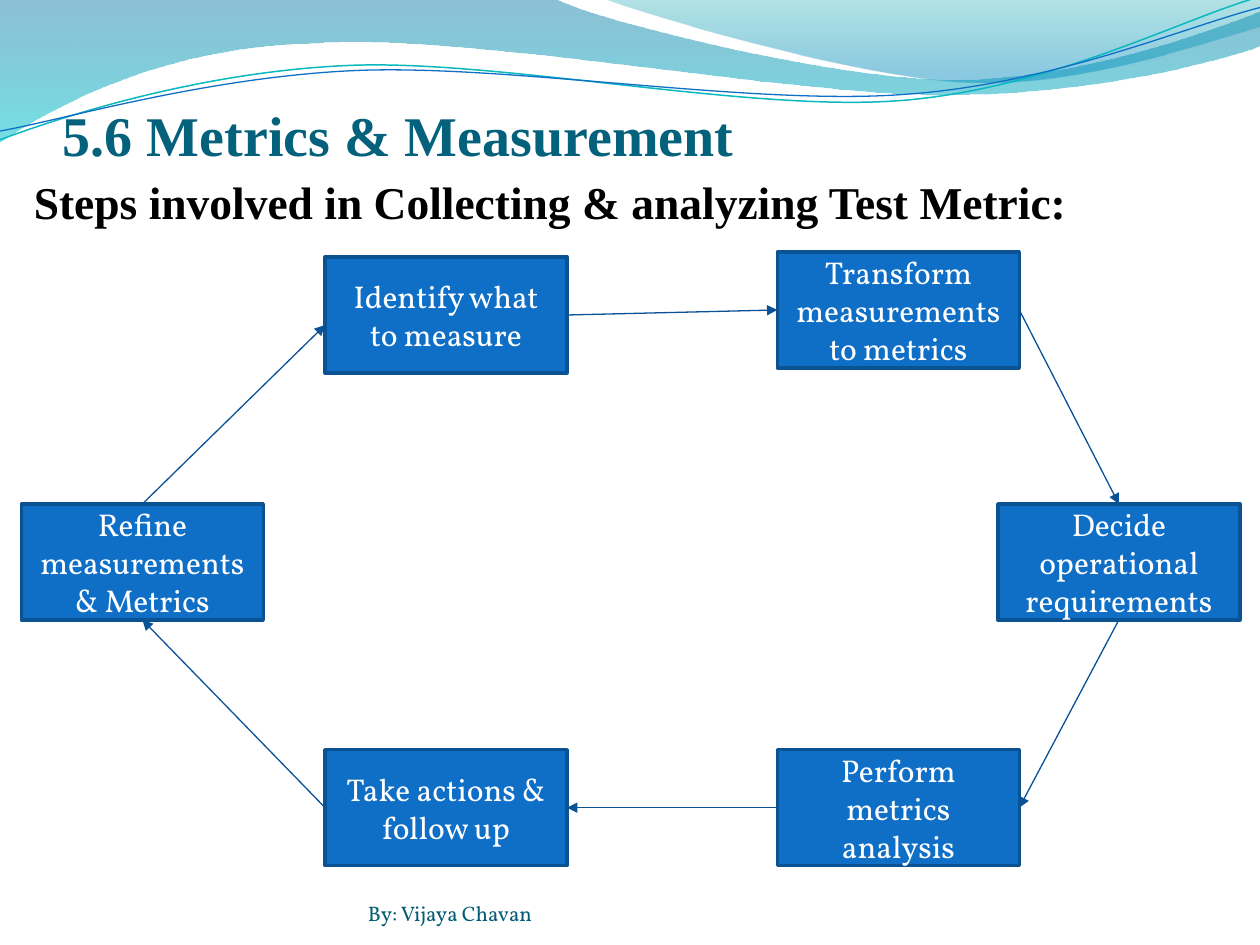
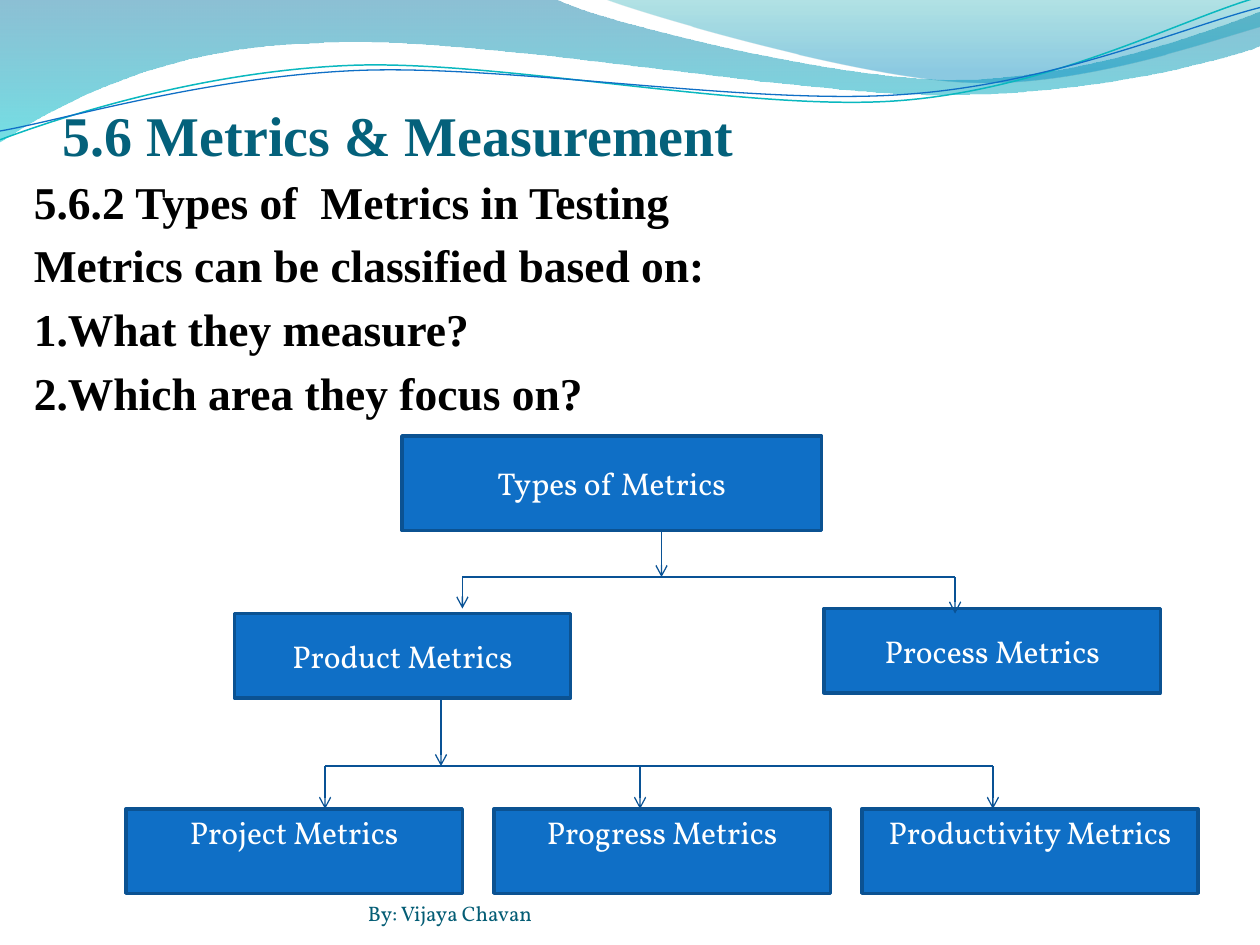
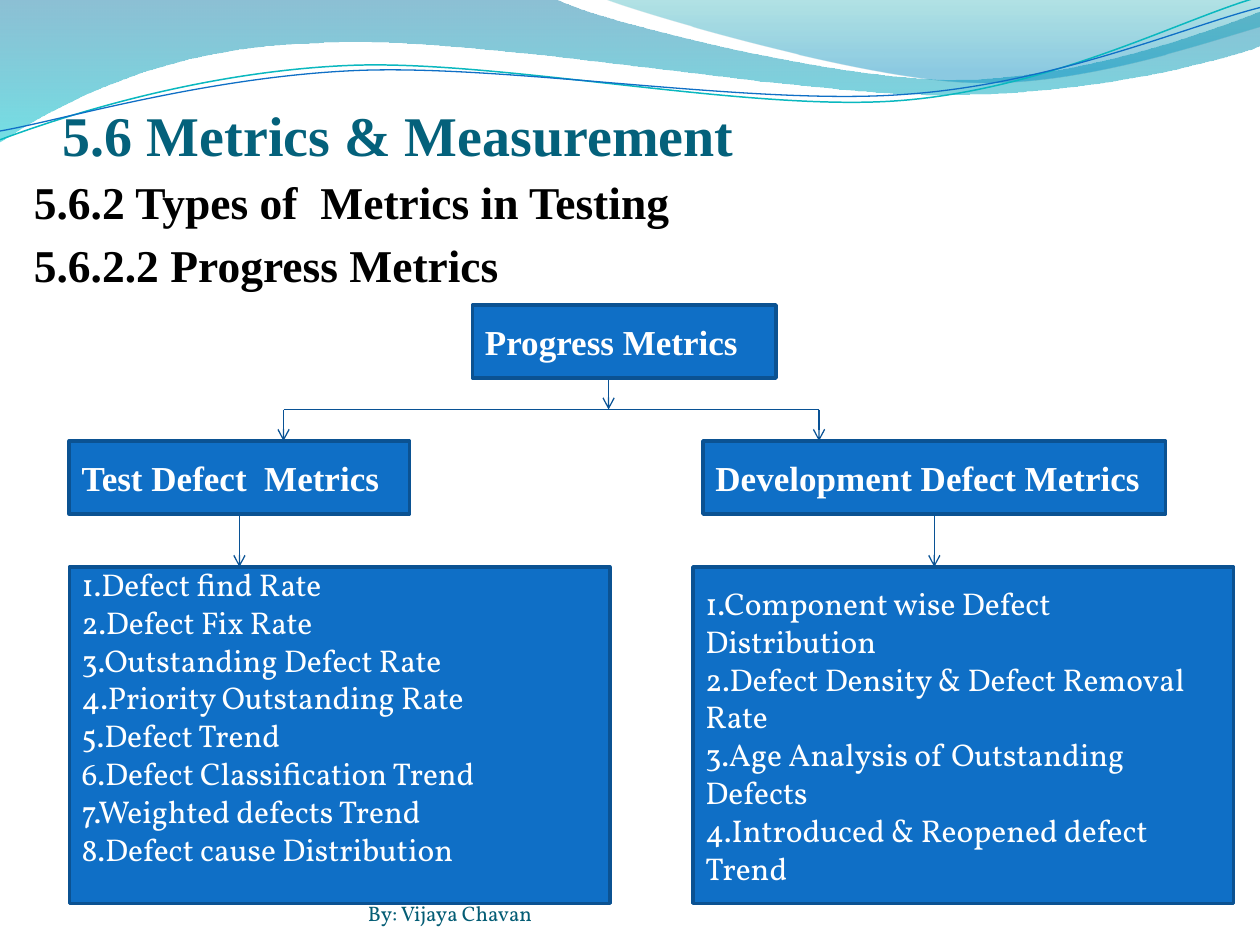
"""Build three slides on collecting, analysing and classifying test metrics."""
from dataclasses import dataclass

from lxml import etree
from pptx import Presentation
from pptx import util as u
from pptx.dml.color import RGBColor
from pptx.enum import shapes, text
from pptx.oxml.ns import qn


@dataclass(frozen=True)
class Theme:
    title: str = "04617B"
    body: str = "000000"
    footer: str = "045D75"
    box: str = "0F6FC6"
    box_edge: str = "0B5292"
    box_text: str = "FFFFFF"
    link: str = "095295"
    teal_wave: str = "0AB8BF"
    serif: str = "Times New Roman"
    plain: str = "Vollkorn"
    title_size: float = 32
    body_size: float = 26
    head_size: float = 20
    box_size: float = 18
    footer_size: float = 12
    body_gap: float = 5.2


THEME = Theme()
TITLE = "5.6 Metrics & Measurement"
FOOTER = "By: Vijaya Chavan"
SECTION = "5.6.2 Types of  Metrics in Testing"

BANDS = [
    (
        [(0, 0), (4.4, -0.01),
         [(4.76, 0.17), (6.64, 0.63), (7.58, 0.63)],
         [(8.53, 0.63), (9.58, 0.26), (10, 0.09)],
         (10.01, 0.36),
         [(9.83, 0.44), (8.7, 0.76), (7.46, 0.75)],
         [(6.22, 0.75), (3.82, 0.28), (2.57, 0.34)],
         [(1.29, 0.36), (0.46, 0.83), (-0.01, 1.13)]],
        [(0, "0074A1", 45), (1, "00C6CF", 55)],
    ),
    (
        [(4.79, -0.01),
         [(5.09, 0.11), (6.82, 0.62), (7.69, 0.65)],
         [(8.56, 0.69), (9.61, 0.32), (10, 0.21)],
         (10, 0)],
        [(0, "00A1A9", 30), (0.8, "008BBF", 45)],
    ),
]
WAVES = [
    (
        [(0, 1.11),
         [(0.48, 0.93), (1.58, 0.57), (2.77, 0.52)],
         [(3.95, 0.47), (5.93, 0.89), (7.13, 0.8)],
         [(8.33, 0.71), (9.38, 0.15), (9.98, -0.02)]],
        THEME.teal_wave, 0.85,
    ),
    (
        [(0, 1.04),
         [(0.47, 0.96), (1.64, 0.61), (2.83, 0.56)],
         [(4.03, 0.51), (5.97, 0.84), (7.17, 0.75)],
         [(8.36, 0.67), (9.41, 0.21), (10, 0.06)]],
        THEME.box, 0.75,
    ),
]

STEP_SIZE = (1.92, 0.92)
STEPS = [
    ("Identify what to measure", 2.58, 2.04),
    ("Transform measurements to metrics", 6.17, 2),
    ("Decide operational requirements", 7.92, 4),
    ("Perform metrics analysis", 6.17, 5.95),
    ("Take actions & follow up", 2.58, 5.95),
    ("Refine measurements & Metrics", 0.17, 4),
]
TOP, LEFT, BOTTOM, RIGHT = range(4)
STEP_SIDES = [(RIGHT, LEFT), (RIGHT, TOP), (BOTTOM, RIGHT), (LEFT, RIGHT), (LEFT, BOTTOM)]
RETURN_END = (2.58, 2.58)

TYPE_SIZE = (2.67, 0.67)
TYPE_GROUPS = [("Product Metrics", 1.86, 4.87), ("Process Metrics", 6.54, 4.83)]
PRODUCT_TYPES = ["Project Metrics", "Progress Metrics", "Productivity Metrics"]

TEST_DEFECTS = [
    "1.Defect find Rate",
    "2.Defect Fix Rate",
    "3.Outstanding Defect Rate",
    "4.Priority Outstanding Rate",
    "5.Defect Trend",
    "6.Defect Classification Trend",
    "7.Weighted defects Trend",
    "8.Defect cause Distribution",
]
DEVELOPMENT_DEFECTS = [
    "1.Component wise Defect  Distribution",
    "2.Defect Density & Defect Removal Rate",
    "3.Age Analysis of Outstanding Defects",
    "4.Introduced & Reopened defect Trend",
]
BASE_INSET = 0.05
RAISED_INSET = 0.35
DEFECT_GROUPS = [
    ("Test Defect  Metrics", 0.55, 2.7, TEST_DEFECTS, 0.55, RAISED_INSET),
    ("Development Defect Metrics", 5.58, 3.67, DEVELOPMENT_DEFECTS, 5.5, BASE_INSET),
]


def inches(*values):
    return [u.Inches(value) for value in values]


def colour(value):
    return RGBColor.from_string(value)


def write(frame, lines, font, size, ink, bold=False, align=text.PP_ALIGN.LEFT, gap=0):
    frame.word_wrap = True
    for index, line in enumerate(lines):
        para = frame.paragraphs[0] if index == 0 else frame.add_paragraph()
        para.alignment = align
        para.space_after = u.Pt(gap)
        span = para.add_run()
        span.text = line
        span.font.name = font
        span.font.size = u.Pt(size)
        span.font.bold = bold
        span.font.color.rgb = colour(ink)


def add_text(page, place, lines, *style, insets=(0, 0), anchor=text.MSO_ANCHOR.BOTTOM, **options):
    frame = page.shapes.add_textbox(*inches(*place)).text_frame
    frame.margin_left = frame.margin_right = u.Inches(insets[0])
    frame.margin_top = u.Inches(insets[1])
    frame.margin_bottom = 0
    frame.vertical_anchor = anchor
    write(frame, lines, *style, **options)


def add_box(page, place, lines, font=THEME.plain, size=THEME.box_size, bold=False,
            align=text.PP_ALIGN.CENTER, bottom_inset=BASE_INSET):
    box = page.shapes.add_shape(shapes.MSO_SHAPE.RECTANGLE, *inches(*place))
    box.shadow.inherit = False
    box.fill.solid()
    box.fill.fore_color.rgb = colour(THEME.box)
    box.line.color.rgb = colour(THEME.box_edge)
    box.line.width = u.Pt(2)
    frame = box.text_frame
    frame.vertical_anchor = text.MSO_ANCHOR.MIDDLE
    frame.margin_bottom = u.Inches(bottom_inset)
    write(frame, lines, font, size, THEME.box_text, bold, align)
    return box


def add_link(page, start, end, head=None):
    link = page.shapes.add_connector(shapes.MSO_CONNECTOR.STRAIGHT, *inches(*start, *end))
    link.line.color.rgb = colour(THEME.link)
    link.line.width = u.Pt(0.75)
    properties = link.element.spPr
    if head:
        etree.SubElement(properties.find(qn("a:ln")), qn("a:tailEnd"), type=head)
    etree.SubElement(properties, qn("a:effectLst"))
    return link


def add_branches(page, stem, bar_y, drops):
    columns = [x for x, _ in drops]
    add_link(page, (min(columns), bar_y), (max(columns), bar_y))
    add_link(page, stem, (stem[0], bar_y), "arrow")
    for x, y in drops:
        add_link(page, (x, bar_y), (x, y), "arrow")


def add_curve(page, outline, close):
    points = []
    for part in outline:
        points.extend(part if isinstance(part, list) else [part])
    corners = [inches(*point) for point in points]
    builder = page.shapes.build_freeform(*corners[0])
    builder.add_line_segments(corners[1:], close=close)
    curve = builder.convert_to_shape()
    curve.shadow.inherit = False
    segments = iter(list(curve.element.iter(qn("a:lnTo"))))
    for part in outline[1:]:
        first = next(segments)
        if isinstance(part, list):
            bend = etree.Element(qn("a:cubicBezTo"))
            first.addprevious(bend)
            for segment in (first, next(segments), next(segments)):
                bend.append(segment[0])
                segment.getparent().remove(segment)
    return curve


def add_header_waves(page):
    curves = []
    for outline, stops in BANDS:
        band = add_curve(page, outline, True)
        band.line.fill.background()
        band.fill.gradient()
        band.fill.gradient_angle = 270
        for stop, (position, ink, _) in zip(band.fill.gradient_stops, stops):
            stop.position = position
            stop.color.rgb = colour(ink)
        inks = band.element.spPr.iter(qn("a:srgbClr"))
        for ink, (_, _, opacity) in zip(inks, stops):
            etree.SubElement(ink, qn("a:alpha"), val=str(opacity * 1000))
        curves.append(band)
    for outline, ink, width in WAVES:
        wave = add_curve(page, outline, False)
        wave.fill.background()
        wave.line.color.rgb = colour(ink)
        wave.line.width = u.Pt(width)
        curves.append(wave)
    return curves


def share_header(page):
    layout = page.slide_layout
    for holder in list(layout.placeholders):
        holder.element.getparent().remove(holder.element)
    for curve in add_header_waves(page):
        layout.element.cSld.spTree.append(curve.element)


def add_page(deck, lines):
    page = deck.slides.add_slide(deck.slide_layouts[6])
    if len(deck.slides) == 1:
        share_header(page)
    add_text(page, (0.5, 0.83, 9, 0.5), [TITLE],
             THEME.serif, THEME.title_size, THEME.title, bold=True)
    add_text(page, (0.17, 1.33, 9.33, 5.58), lines,
             THEME.serif, THEME.body_size, THEME.body, bold=True, gap=THEME.body_gap,
             insets=(0.1, 0.05), anchor=text.MSO_ANCHOR.TOP)
    add_text(page, (2.92, 6.95, 3.67, 0.4), [FOOTER],
             THEME.plain, THEME.footer_size, THEME.footer)
    return page


def build_cycle(deck):
    page = add_page(deck, ["Steps involved in Collecting & analyzing Test Metric:"])
    boxes = [add_box(page, (left, top, *STEP_SIZE), [label]) for label, left, top in STEPS]
    for first, second, (leave, arrive) in zip(boxes, boxes[1:], STEP_SIDES):
        link = add_link(page, (0, 0), (1, 1), "triangle")
        link.begin_connect(first, leave)
        link.end_connect(second, arrive)
    add_link(page, (1.13, 4), RETURN_END, "triangle").begin_connect(boxes[-1], TOP)


def build_types(deck):
    page = add_page(deck, [
        SECTION,
        "Metrics can be classified based on:",
        "1.What they measure?",
        "2.Which area they focus on?",
    ])
    add_box(page, (3.19, 3.46, 3.33, 0.75), ["Types of Metrics"])
    for label, left, top in TYPE_GROUPS:
        add_box(page, (left, top, *TYPE_SIZE), [label])
    for index, label in enumerate(PRODUCT_TYPES):
        add_box(page, (1 + index * 2.92, 6.42, *TYPE_SIZE), [label], bottom_inset=RAISED_INSET)
    add_branches(page, (5.25, 4.21), 4.58, [(3.67, 4.83), (7.58, 4.87)])
    add_branches(page, (3.5, 5.54), 6.08, [(x, 6.42) for x in (2.58, 5.08, 7.88)])


def build_progress(deck):
    page = add_page(deck, [SECTION, "5.6.2.2 Progress Metrics"])
    heading = dict(font=THEME.serif, size=THEME.head_size, bold=True, align=text.PP_ALIGN.LEFT)
    add_box(page, (3.75, 2.42, 2.41, 0.58), ["Progress Metrics"], **heading)
    for label, left, width, items, list_left, bottom_inset in DEFECT_GROUPS:
        group = add_box(page, (left, 3.5, width, 0.58), [label], **heading)
        add_box(page, (list_left, 4.5, 4.29, 2.67), items,
                align=text.PP_ALIGN.LEFT, bottom_inset=bottom_inset)
        middle = left + width / 2
        add_link(page, (middle, 4.08), (middle, 4.5), "arrow").begin_connect(group, BOTTOM)
    add_branches(page, (4.83, 3), 3.25, [(2.25, 3.5), (6.5, 3.5)])


def main():
    deck = Presentation()
    deck.slide_width, deck.slide_height = inches(10, 7.5)
    for build in (build_cycle, build_types, build_progress):
        build(deck)
    deck.save("out.pptx")


if __name__ == "__main__":
    main()
